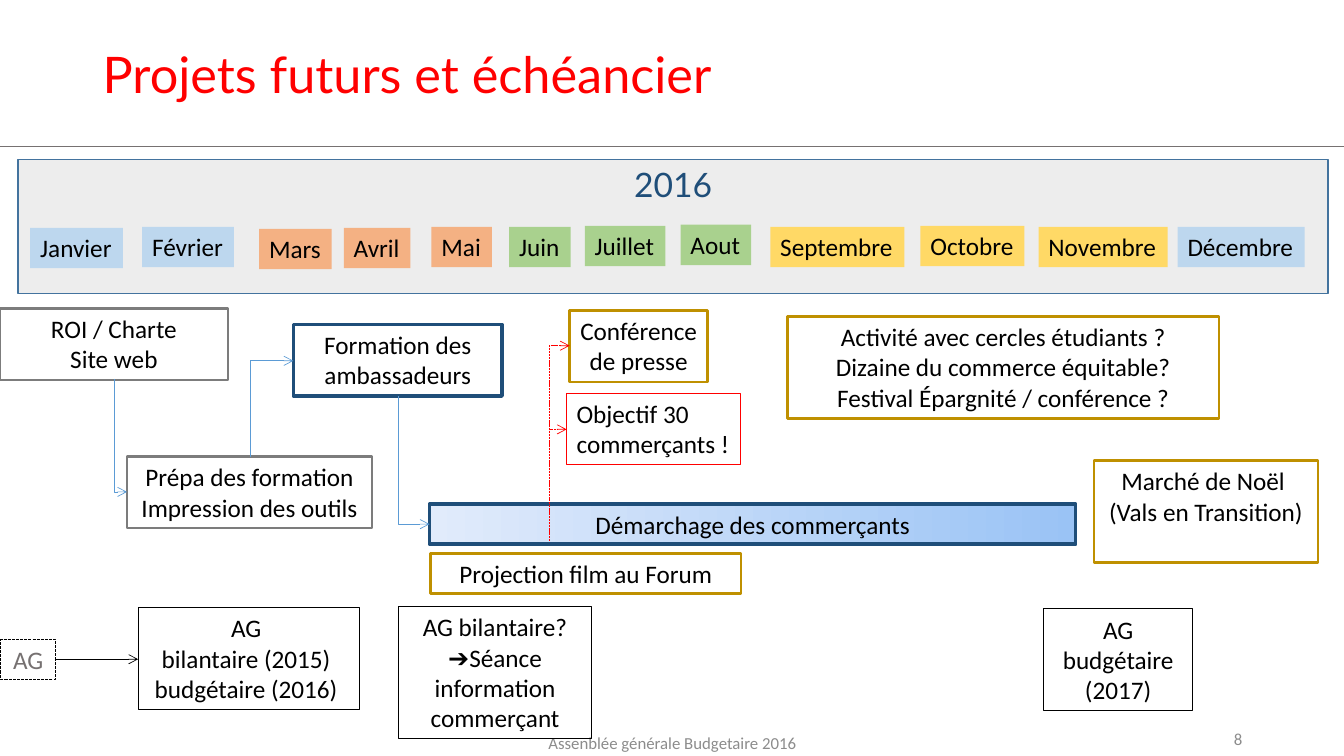
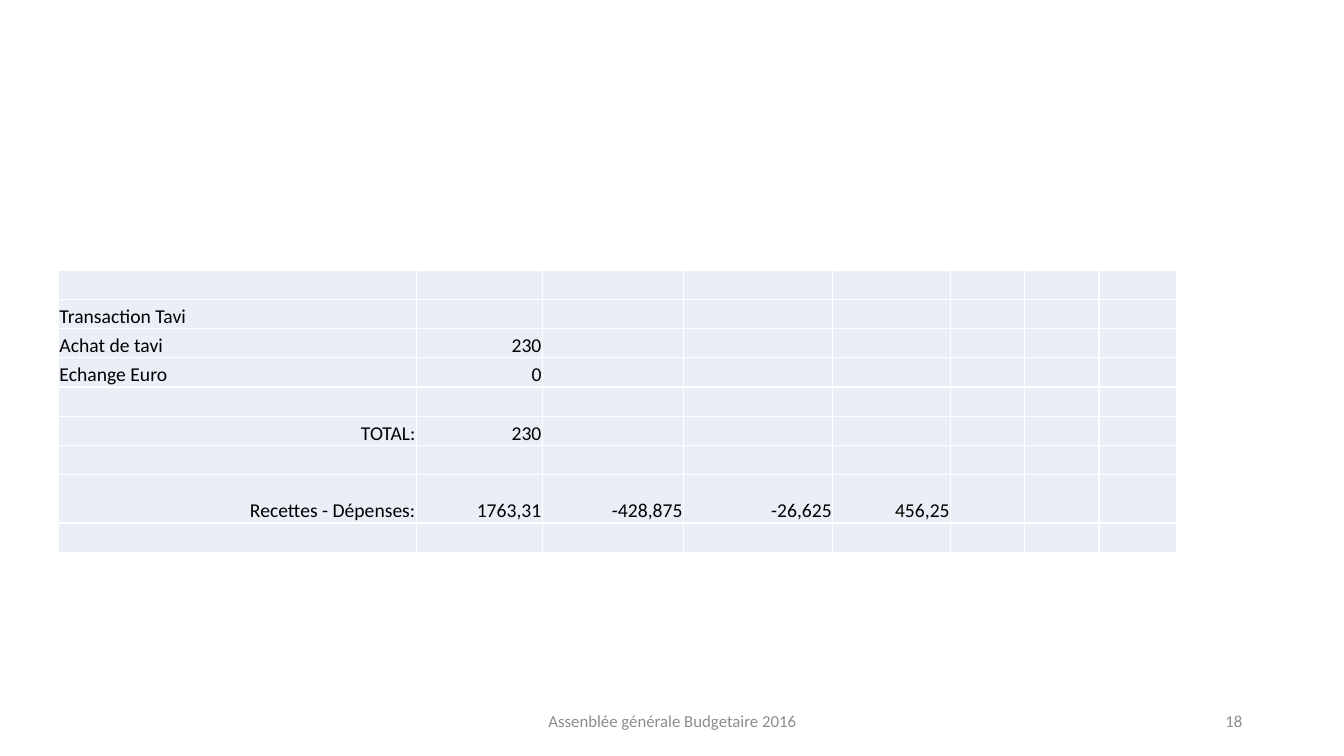
from dataclasses import dataclass
from typing import Optional

from lxml.etree import SubElement
from pptx import Presentation
from pptx.dml.color import RGBColor
from pptx.enum.dml import MSO_LINE
from pptx.enum.shapes import MSO_CONNECTOR, MSO_SHAPE
from pptx.enum.text import MSO_ANCHOR, PP_ALIGN
from pptx.oxml.ns import qn
from pptx.util import Inches, Pt


@dataclass(frozen=True)
class Theme:
    body_font: str = "Calibri"
    title_font: str = "Lato"
    title_size: int = 36
    year_size: int = 24
    body_size: int = 18
    table_size: int = 14
    footer_size: int = 12
    black: str = "000000"
    white: str = "FFFFFF"
    red: str = "FF0000"
    navy: str = "1F4E79"
    steel: str = "43739E"
    sky: str = "5B9BD5"
    gold: str = "BF9000"
    gray: str = "7C7C7C"
    rule: str = "767171"
    footer: str = "8C8C8C"
    band: str = "EDEDED"
    cell: str = "EAEFF7"
    winter: str = "BDD7EE"
    spring: str = "F4B183"
    summer: str = "A9D18E"
    autumn: str = "FFD966"
    gradient: tuple = ("E1EBFB", "9AC3F5")


THEME = Theme()
FOOTER_TEXT = "Assenblée générale Budgetaire 2016"


@dataclass(frozen=True)
class Month:
    name: str
    left: float
    top: float
    width: float
    fill: str


@dataclass(frozen=True)
class Task:
    lines: tuple
    left: float
    top: float
    width: float
    height: float
    line: str
    weight: float = 0.75
    color: str = THEME.black
    align: PP_ALIGN = PP_ALIGN.CENTER
    gradient: Optional[tuple] = None
    dashed: bool = False


@dataclass(frozen=True)
class Link:
    start: tuple
    end: tuple
    color: str
    dashed: bool = False
    arrow: bool = True


MONTHS = (
    Month("Janvier", 0.3, 2.26, 0.92, THEME.winter),
    Month("Février", 1.41, 2.25, 0.91, THEME.winter),
    Month("Mars", 2.57, 2.27, 0.72, THEME.spring),
    Month("Avril", 3.41, 2.26, 0.66, THEME.spring),
    Month("Mai", 4.28, 2.25, 0.6, THEME.spring),
    Month("Juin", 5.05, 2.25, 0.61, THEME.summer),
    Month("Juillet", 5.8, 2.24, 0.8, THEME.summer),
    Month("Aout", 6.75, 2.23, 0.7, THEME.summer),
    Month("Septembre", 7.64, 2.25, 1.33, THEME.autumn),
    Month("Octobre", 9.13, 2.24, 1.03, THEME.autumn),
    Month("Novembre", 10.3, 2.25, 1.28, THEME.autumn),
    Month("Décembre", 11.68, 2.25, 1.26, THEME.winter),
)

TASKS = (
    Task(("ROI / Charte", "Site web"), 0, 3.06, 2.26, 0.71, THEME.gray, 1.75),
    Task(("Formation des ambassadeurs",), 2.91, 3.22, 2.07, 0.71, THEME.navy, 2.5),
    Task(("Prépa des formation", "Impression des outils"),
         1.26, 4.53, 2.43, 0.71, THEME.gray, 1.75),
    Task(("Démarchage des commerçants",), 4.26, 5, 6.41, 0.4, THEME.navy, 2.5,
         gradient=THEME.gradient),
    Task(("Projection film au Forum",), 4.27, 5.49, 3.08, 0.4, THEME.gold, 2),
    Task(("AG bilantaire? ➔Séance information commerçant",),
         3.95, 6.02, 1.92, 1.31, THEME.black),
    Task(("AG",), 0.01, 6.34, 0.54, 0.4, THEME.black, color=THEME.rule, dashed=True),
    Task(("AG ", "bilantaire (2015) ", "budgétaire (2016) "),
         1.37, 6.03, 2.2, 1.01, THEME.black),
    Task(("AG budgétaire (2017)",), 10.35, 6.04, 1.48, 1.01, THEME.black),
    Task(("Activité avec cercles étudiants ?", "Dizaine du commerce équitable?",
          "Festival Épargnité / conférence ?"),
         7.81, 3.14, 4.28, 1.01, THEME.gold, 1.75),
    Task(("Marché de Noël ", "(Vals en Transition)"),
         10.85, 4.57, 2.22, 1.01, THEME.gold, 1.75),
    Task(("Conférence de presse",), 5.65, 3.08, 1.37, 0.71, THEME.gold, 2),
    Task(("Objectif 30 commerçants !",), 5.62, 3.9, 1.72, 0.71, THEME.red,
         align=PP_ALIGN.LEFT),
)

LINKS = (
    Link((0.55, 6.54), (1.37, 6.54), THEME.black),
    Link((3.95, 3.93), (4.26, 5.2), THEME.sky),
    Link((2.48, 4.53), (2.91, 3.58), THEME.sky),
    Link((1.13, 3.76), (1.26, 4.88), THEME.sky),
    Link((5.45, 4.95), (5.62, 4.26), THEME.red, dashed=True),
    Link((5.45, 4.95), (5.45, 5.37), THEME.red, dashed=True, arrow=False),
    Link((5.45, 4.95), (5.65, 3.43), THEME.red, dashed=True),
    Link((0, 1.45), (13.33, 1.45), THEME.rule, arrow=False),
)

COLUMN_WIDTHS = (3.55, 1.25, 1.4, 1.48, 1.17, 0.73, 0.74, 0.77)
ROW_HEIGHT, TALL_ROW_HEIGHT, TALL_ROW = 0.29, 0.48, 7
TABLE_ROWS = (
    (),
    ("Transaction Tavi",),
    ("Achat de tavi", "230"),
    ("Echange Euro", "0"),
    (),
    ("TOTAL:", "230"),
    (),
    ("Recettes - Dépenses:", "1763,31", "-428,875", "-26,625", "456,25"),
    (),
)


def rgb(value: str) -> RGBColor:
    return RGBColor.from_string(value)


def write(frame, lines: tuple, size: int, color: str,
          align: PP_ALIGN = PP_ALIGN.LEFT, font: str = THEME.body_font) -> None:
    """Write one paragraph per line, each as a run."""
    for index, line in enumerate(lines):
        para = frame.paragraphs[0] if index == 0 else frame.add_paragraph()
        para.alignment = align
        span = para.add_run()
        span.text = line
        span.font.name = font
        span.font.size = Pt(size)
        span.font.color.rgb = rgb(color)


def add_box(page, left: float, top: float, width: float, height: float,
            fill: Optional[str] = None, line: Optional[str] = None,
            weight: float = 0.75):
    box = page.shapes.add_shape(MSO_SHAPE.RECTANGLE, Inches(left), Inches(top),
                                Inches(width), Inches(height))
    box.shadow.inherit = False
    if fill:
        box.fill.solid()
        box.fill.fore_color.rgb = rgb(fill)
    else:
        box.fill.background()
    if line:
        box.line.color.rgb = rgb(line)
        box.line.width = Pt(weight)
    else:
        box.line.fill.background()
    box.text_frame.word_wrap = True
    box.text_frame.vertical_anchor = MSO_ANCHOR.TOP
    return box


def add_label(page, left: float, top: float, width: float, height: float,
              text: str, size: int, color: str, align: PP_ALIGN = PP_ALIGN.LEFT,
              font: str = THEME.body_font) -> None:
    box = page.shapes.add_textbox(Inches(left), Inches(top), Inches(width), Inches(height))
    box.text_frame.word_wrap = True
    box.text_frame.vertical_anchor = MSO_ANCHOR.MIDDLE
    write(box.text_frame, (text,), size, color, align, font)


def add_footer(page, number: int, text_top: float = 6.95,
               number_top: float = 6.95) -> None:
    add_label(page, 4.42, text_top, 4.5, 0.4, FOOTER_TEXT,
              THEME.footer_size, THEME.footer, PP_ALIGN.CENTER)
    add_label(page, 9.42, number_top, 3, 0.4, str(number),
              THEME.footer_size, THEME.footer, PP_ALIGN.RIGHT)


def add_month(page, month: Month) -> None:
    box = add_box(page, month.left, month.top, month.width, 0.4, month.fill)
    box.text_frame.word_wrap = False
    write(box.text_frame, (month.name,), THEME.body_size, THEME.black)


def add_task(page, task: Task) -> None:
    box = add_box(page, task.left, task.top, task.width, task.height,
                  line=task.line, weight=task.weight)
    if task.gradient:
        box.fill.gradient()
        box.fill.gradient_angle = 0
        for stop, color in zip(box.fill.gradient_stops, task.gradient):
            stop.color.rgb = rgb(color)
    if task.dashed:
        box.line.dash_style = MSO_LINE.SQUARE_DOT
    write(box.text_frame, task.lines, THEME.body_size, task.color, task.align)


def add_link(page, link: Link) -> None:
    """Draw a straight line, or an elbow that runs vertically first."""
    (x1, y1), (x2, y2) = link.start, link.end
    bent = x1 != x2 and y1 != y2
    kind = MSO_CONNECTOR.ELBOW if bent else MSO_CONNECTOR.STRAIGHT
    rising = y2 < y1
    if bent:
        # The elbow is a quarter-turned frame about the same centre
        middle_x, middle_y = (x1 + x2) / 2, (y1 + y2) / 2
        half_x, half_y = abs(y2 - y1) / 2, abs(x2 - x1) / 2
        side = 1 if rising else -1
        x1, x2 = middle_x + half_x, middle_x - half_x
        y1, y2 = middle_y + side * half_y, middle_y - side * half_y
    connector = page.shapes.add_connector(kind, Inches(x1), Inches(y1),
                                          Inches(x2), Inches(y2))
    connector.line.color.rgb = rgb(link.color)
    connector.line.width = Pt(0.5)
    if link.dashed:
        connector.line.dash_style = MSO_LINE.SQUARE_DOT
    properties = connector._element.spPr
    if bent:
        properties.find(qn("a:prstGeom")).set("prst", "bentConnector2")
        properties.find(qn("a:xfrm")).set("rot", str((90 if rising else 270) * 60000))
    if link.arrow:
        SubElement(properties.find(qn("a:ln")), qn("a:tailEnd"), type="arrow")
    SubElement(properties, qn("a:effectLst"))


def style_cell(cell) -> None:
    properties = cell._tc.get_or_add_tcPr()
    for side in ("lnL", "lnR", "lnT", "lnB"):
        border = SubElement(properties, qn(f"a:{side}"), w=str(Pt(1)))
        SubElement(SubElement(border, qn("a:solidFill")), qn("a:srgbClr"), val=THEME.white)
    cell.fill.solid()
    cell.fill.fore_color.rgb = rgb(THEME.cell)
    cell.margin_left = cell.margin_right = cell.margin_top = Inches(0.01)
    cell.margin_bottom = 0
    cell.vertical_anchor = MSO_ANCHOR.BOTTOM


def add_accounts(page) -> None:
    height = ROW_HEIGHT * (len(TABLE_ROWS) - 1) + TALL_ROW_HEIGHT
    table = page.shapes.add_table(len(TABLE_ROWS), len(COLUMN_WIDTHS), Inches(0.58),
                                  Inches(2.68), Inches(sum(COLUMN_WIDTHS)),
                                  Inches(height)).table
    table.first_row = table.horz_banding = False
    for column, width in zip(table.columns, COLUMN_WIDTHS):
        column.width = Inches(width)
    for index, (row, texts) in enumerate(zip(table.rows, TABLE_ROWS)):
        row.height = Inches(TALL_ROW_HEIGHT if index == TALL_ROW else ROW_HEIGHT)
        for position, cell in enumerate(row.cells):
            style_cell(cell)
            if position < len(texts):
                text = texts[position]
                right = position > 0 or text.endswith(":")
                write(cell.text_frame, (text,), THEME.table_size, THEME.black,
                      PP_ALIGN.RIGHT if right else PP_ALIGN.LEFT)
            else:
                # Empty cells keep the table's type size, so rows stay low
                SubElement(cell.text_frame.paragraphs[0]._p, qn("a:endParaRPr"),
                           sz=str(THEME.table_size * 100))


def build_schedule(page) -> None:
    year = add_box(page, 0.18, 1.58, 12.99, 1.33, THEME.band, THEME.steel, 1)
    write(year.text_frame, ("2016",), THEME.year_size, THEME.navy,
          PP_ALIGN.CENTER, THEME.title_font)
    add_label(page, 0.92, 0, 10.55, 1.46, "Projets futurs et échéancier",
              THEME.title_size, THEME.red, font=THEME.title_font)
    add_footer(page, 8, 7.17, 7.13)
    for month in MONTHS:
        add_month(page, month)
    for task in TASKS:
        add_task(page, task)
    for link in LINKS:
        add_link(page, link)


def main() -> None:
    deck = Presentation()
    deck.slide_width, deck.slide_height = Inches(13.33), Inches(7.5)
    blank = deck.slide_layouts[6]
    build_schedule(deck.slides.add_slide(blank))
    accounts = deck.slides.add_slide(blank)
    add_accounts(accounts)
    add_footer(accounts, 18)
    deck.save("out.pptx")


if __name__ == "__main__":
    main()
